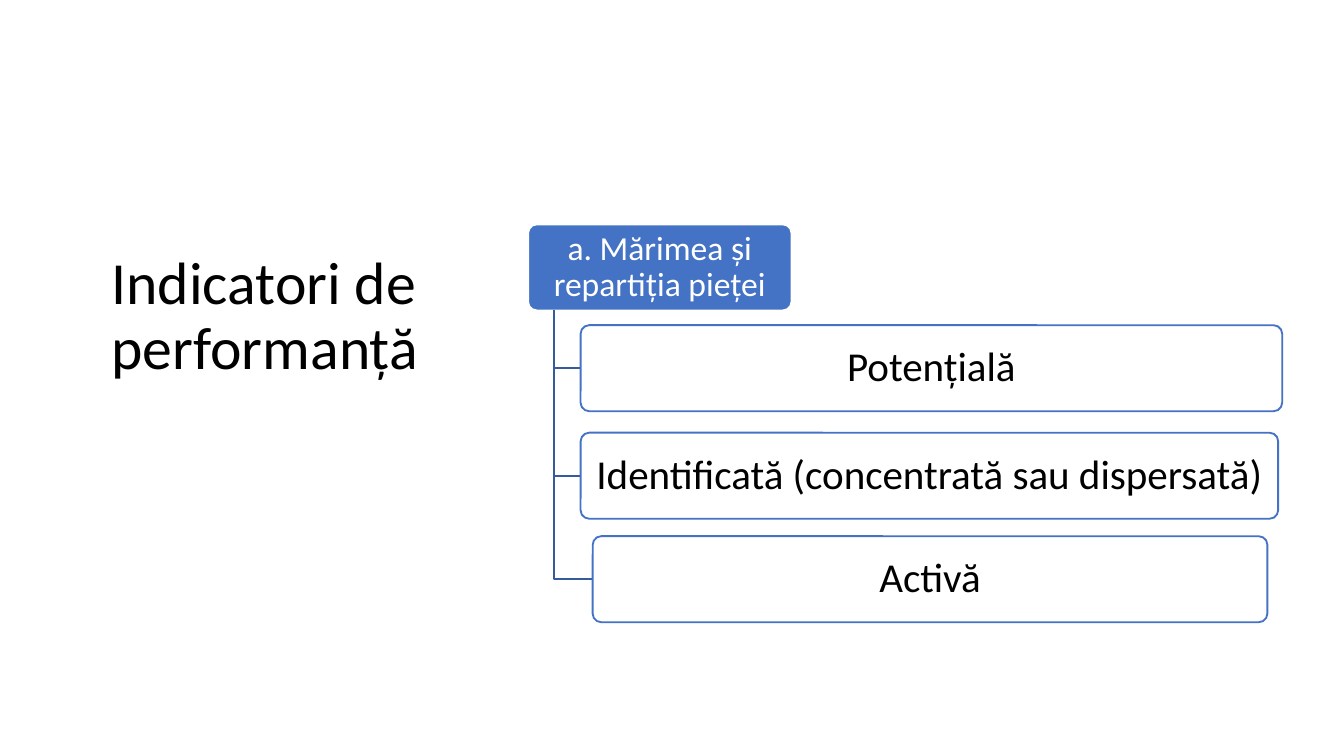
import pptx
import pptx.dml.color
import pptx.enum.shapes
import pptx.enum.text
import pptx.oxml.ns
import pptx.util
import lxml.etree

Inches = pptx.util.Inches
Pt = pptx.util.Pt
COLORS = {"text": "000000", "paper": "FFFFFF", "blue": "4472C4", "link": "365B9D"}
FONT = "Calibri"
WIDE = 10
HIGH = 0.64
KINDS = [
    ("Potențială", 0.39, 0.75, 5.22),
    ("Identificată (concentrată sau dispersată)", 0.39, 1.55, 5.19),
    ("Activă", 0.48, 2.32, 5.02),
]


def tint(name):
    """Return the named colour."""
    return pptx.dml.color.RGBColor.from_string(COLORS[name])


def write(shape, text, size, color, align, pad):
    """Set and format the text of a shape, with side and top insets in pad."""
    frame = shape.text_frame
    frame.text = text
    frame.word_wrap = True
    frame.auto_size = pptx.enum.text.MSO_AUTO_SIZE.NONE
    frame.vertical_anchor = pptx.enum.text.MSO_ANCHOR.MIDDLE
    frame.margin_left = frame.margin_right = Inches(pad[0])
    frame.margin_top = frame.margin_bottom = Inches(pad[1])
    para = frame.paragraphs[0]
    para.alignment = align
    para.line_spacing = 0.9
    para.space_before = Pt(0)
    font = para.runs[0].font
    font.name = FONT
    font.size = Pt(size)
    font.color.rgb = tint(color)


def title(slide, left, top, width, height):
    """Place the slide title in the given box."""
    head = slide.shapes.title
    head.left, head.top = Inches(left), Inches(top)
    head.width, head.height = Inches(width), Inches(height)
    write(head, "Indicatori de performanță", 32, "text",
          pptx.enum.text.PP_ALIGN.LEFT, (0.1, 0.1))


def card(slide, box, text, size, fill, line, color, side):
    """Draw one rounded box with centred text."""
    shape = slide.shapes.add_shape(
        pptx.enum.shapes.MSO_SHAPE.ROUNDED_RECTANGLE, *map(Inches, box))
    shape.adjustments[0] = 0.1
    shape.shadow.inherit = False
    shape.fill.solid()
    shape.fill.fore_color.rgb = tint(fill)
    shape.line.color.rgb = tint(line)
    shape.line.width = Pt(1)
    write(shape, text, size, color, pptx.enum.text.PP_ALIGN.CENTER, (side, 0.03))
    return shape


def fade(shape, share):
    """Set the opacity of a solid fill in percent."""
    tag = pptx.oxml.ns.qn
    color = shape.element.spPr.find(tag("a:solidFill")).find(tag("a:srgbClr"))
    lxml.etree.SubElement(color, tag("a:alpha")).set("val", str(share * 1000))


def elbow(slide, left, top, right, low):
    """Draw a line down from the root and across to a branch."""
    pen = slide.shapes.build_freeform(Inches(left), Inches(top))
    pen.add_line_segments(
        [(Inches(left), Inches(low)), (Inches(right), Inches(low))], close=False)
    shape = pen.convert_to_shape()
    shape.shadow.inherit = False
    shape.fill.background()
    shape.line.color.rgb = tint("link")
    shape.line.width = Pt(1)


def tree(slide, left, top, width):
    """Draw the root box and its branches from the given corner."""
    card(slide, (left, top, width, HIGH), "a. Mărimea și repartiția pieței",
         18, "blue", "paper", "paper", 0.04)
    for text, dx, dy, span in KINDS:
        x, y = left + dx, top + dy
        elbow(slide, left + 0.19, top + HIGH, x, y + HIGH / 2)
        fade(card(slide, (x, y, span, HIGH), text,
                  22, "paper", "blue", "text", 0.05), 90)


def main():
    """Build and save the slide."""
    deck = pptx.Presentation()
    deck.slide_width, deck.slide_height = Inches(WIDE), Inches(WIDE * 9 / 16)
    slide = deck.slides.add_slide(deck.slide_layouts[5])
    title(slide, 0.73, 2.05, 4.11, 0.63)
    tree(slide, 3.93, 1.67, 1.96)
    deck.save("out.pptx")


if __name__ == "__main__":
    main()
